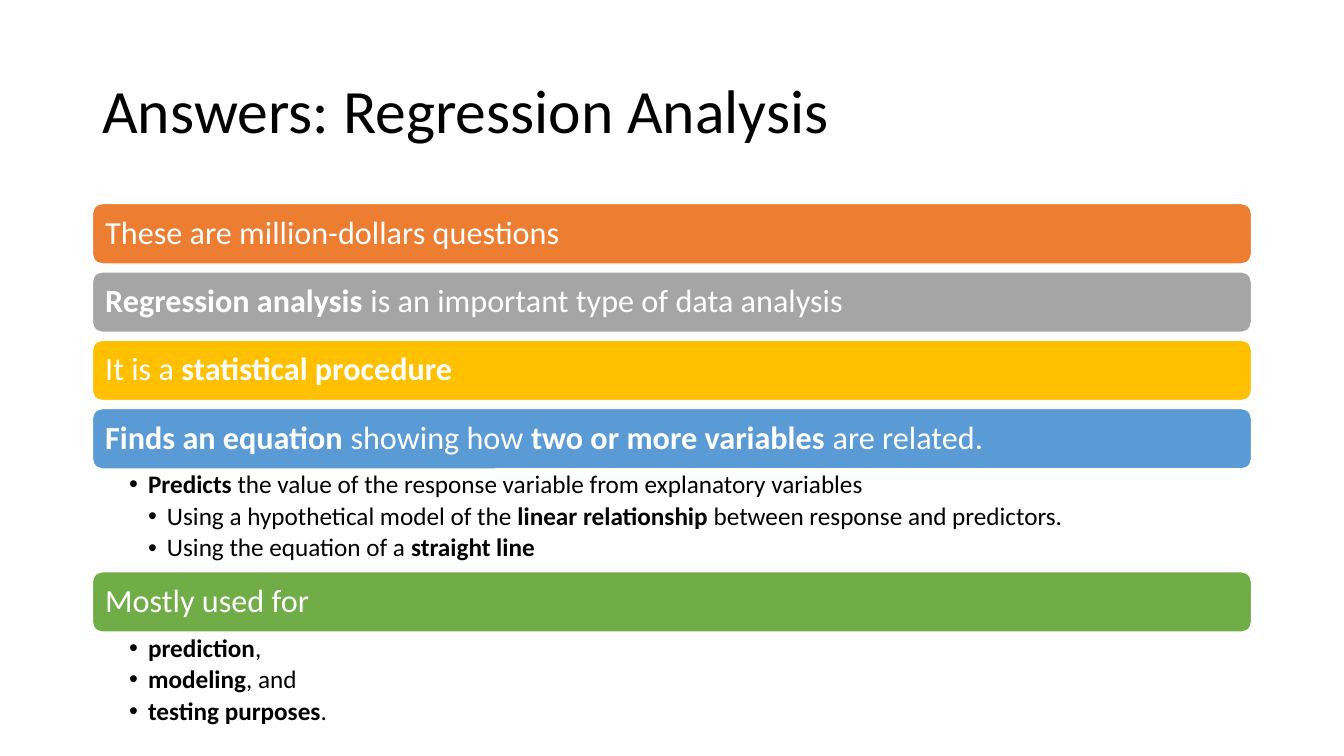
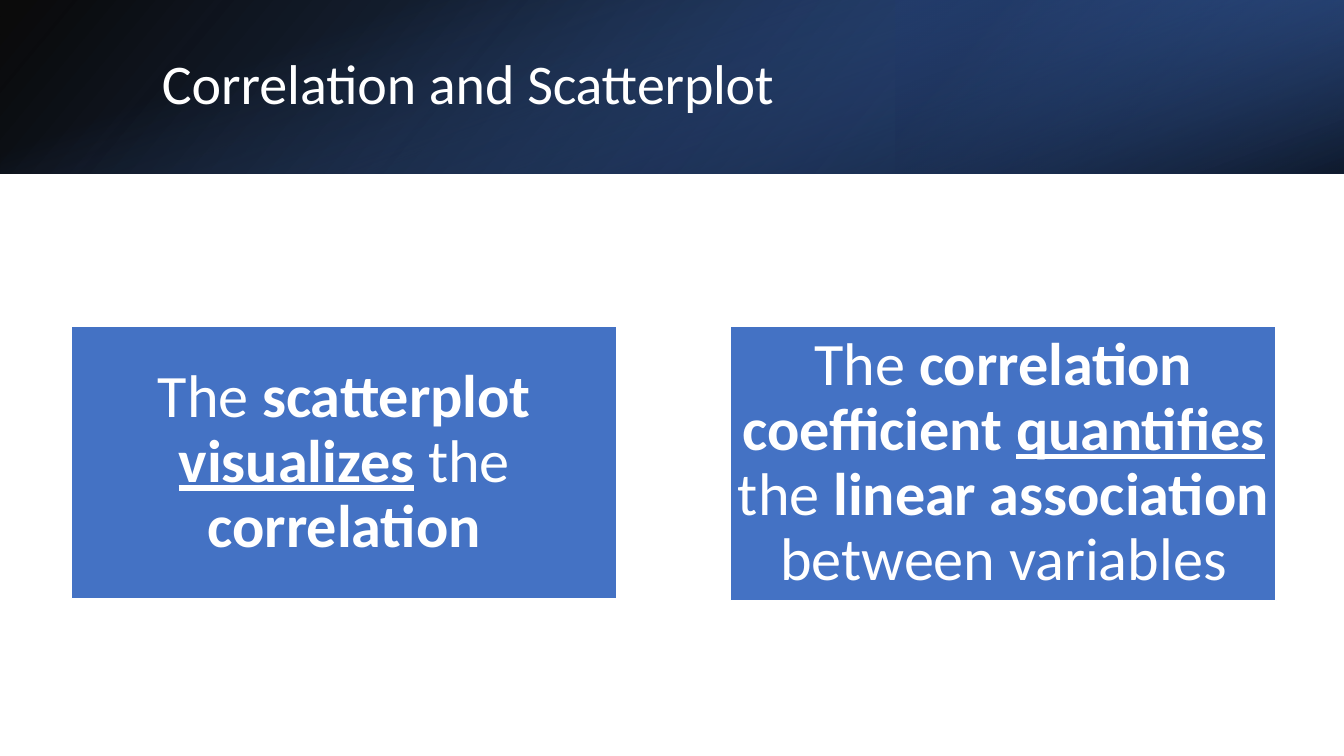
"""Build two slides on regression analysis and correlation."""
from dataclasses import dataclass
from typing import Any, NamedTuple

from pptx import Presentation
from pptx import util as u
from pptx.dml.color import RGBColor
from pptx.enum import shapes, text
from pptx.oxml import parse_xml
from pptx.oxml.ns import nsdecls

FONT = "Calibri"
WHITE, BLACK, BLUE = "FFFFFF", "000000", "4472C4"
SLIDE_W, SLIDE_H, BANNER_H = 960, 540, 124
BAR_X, BAR_W, BAR_H, BAR_GAP, BULLETS_H = 66, 828, 43.2, 5.6, 73.4
BULLET_INDENT = 13.5


class Box(NamedTuple):
    """Left, top, width and height in points."""
    x: float
    y: float
    w: float
    h: float


class Run(NamedTuple):
    """A piece of text with its emphasis."""
    text: str
    bold: bool = False
    underline: bool = False
    spacing: int = 0


@dataclass
class Para:
    """A paragraph; level 0 has no bullet."""
    runs: list[Run]
    level: int = 0


@dataclass
class Bar:
    """A coloured heading bar with the bullets under it."""
    color: str
    runs: list[Run]
    bullets: list[Para]


class Stop(NamedTuple):
    """A gradient stop, position and opacity in percent."""
    pos: int
    color: str
    alpha: int


@dataclass
class Overlay:
    """A gradient layer of the banner."""
    box: Box
    angle: int
    stops: list[Stop]
    rotation: int = 0
    flip: bool = False


BARS = [
    Bar("ED7D31", [Run("These are million-dollars questions")], []),
    Bar("A5A5A5", [Run("Regression analysis", True),
                   Run(" is an important type of data analysis")], []),
    Bar("FFC000", [Run("It is a "), Run("statistical procedure", True)], []),
    Bar("5B9BD5", [Run("Finds an equation", True), Run(" showing how "),
                   Run("two or more variables ", True), Run("are related.")], [
        Para([Run("Predicts", True),
              Run(" the value of the response variable from explanatory variables")], 1),
        Para([Run("Using a hypothetical model of the "), Run("linear relationship", True),
              Run(" between response and predictors.")], 2),
        Para([Run("Using the equation of a "), Run("straight line", True)], 2),
    ]),
    Bar("70AD47", [Run("Mostly used for")], [
        Para([Run("prediction", True), Run(",")], 1),
        Para([Run("modeling", True), Run(", and")], 1),
        Para([Run("testing purposes", True), Run(".")], 1),
    ]),
]

OVERLAYS = [
    Overlay(Box(0, 0, SLIDE_W, BANNER_H), 140,
            [Stop(0, BLACK, 96), Stop(100, "2F5597", 100)], flip=True),
    Overlay(Box(640, 0, 320, BANNER_H), 320,
            [Stop(19, "203864", 68), Stop(100, BLUE, 79)], 180, True),
    Overlay(Box((SLIDE_W - BANNER_H) / 2, (BANNER_H - SLIDE_W) / 2, BANNER_H, SLIDE_W), 340,
            [Stop(23, BLUE, 0), Stop(99, BLACK, 74)], 90),
]

CARDS = [
    (Box(51.1, 233.3, 389.5, 194.4),
     [Run("The "), Run("scatterplot ", True), Run("visualizes", True, True),
      Run(" the "), Run("correlation", True)]),
    (Box(522, 233.3, 389.5, 195.8),
     [Run("The "), Run("correlation coefficient ", True), Run("quantifies", True, True),
      Run(" the "), Run("linear association", True), Run(" between variables")]),
]


def rgb(color: str) -> RGBColor:
    """Turn a hex string into a colour."""
    return RGBColor.from_string(color)


def set_all(target: Any, values: dict[str, Any]) -> None:
    """Set every attribute named in a dict."""
    for name, value in values.items():
        setattr(target, name, value)


def points(box: Box) -> list[u.Length]:
    """Convert a box to lengths."""
    return [u.Pt(value) for value in box]


def add_bullet(p: Any, level: int) -> None:
    """Give a paragraph a hanging round bullet."""
    pPr = p._p.get_or_add_pPr()
    pPr.set("marL", str(u.Pt(BULLET_INDENT * level)))
    pPr.set("indent", str(-u.Pt(BULLET_INDENT)))
    pPr.append(parse_xml(f'<a:buFont {nsdecls("a")} typeface="Arial"/>'))
    pPr.append(parse_xml(f'<a:buChar {nsdecls("a")} char="•"/>'))


def write(sp: Any, paras: list[Para], size: float, color: str,
          insets: tuple[float, float, float, float] = (7.2, 3.6, 7.2, 3.6),
          anchor: Any = text.MSO_ANCHOR.MIDDLE, align: Any = text.PP_ALIGN.LEFT) -> None:
    """Fill a shape with formatted paragraphs."""
    tf = sp.text_frame
    left, top, right, bottom = (u.Pt(value) for value in insets)
    set_all(tf, {"word_wrap": True, "vertical_anchor": anchor, "margin_left": left,
                 "margin_top": top, "margin_right": right, "margin_bottom": bottom})
    for i, para in enumerate(paras):
        p = tf.add_paragraph() if i else tf.paragraphs[0]
        if para.level:
            add_bullet(p, para.level)
            set_all(p, {"level": para.level, "space_after": u.Pt(3.1)})
        set_all(p, {"alignment": align, "line_spacing": 0.9})
        for run in para.runs:
            r = p.add_run()
            r.text = run.text
            set_all(r.font, {"name": FONT, "size": u.Pt(size),
                             "bold": run.bold, "underline": run.underline})
            r.font.color.rgb = rgb(color)
            if run.spacing:
                r.font._element.set("spc", str(run.spacing))


def add_title(s: Any, box: Box, runs: list[Run], size: float, color: str) -> None:
    """Add the slide title."""
    write(s.shapes.add_textbox(*points(box)), [Para(runs)], size, color)


def add_panel(s: Any, kind: Any, box: Box, color: str) -> Any:
    """Add a filled shape with a thin white outline."""
    sp = s.shapes.add_shape(kind, *points(box))
    sp.shadow.inherit = False
    sp.fill.solid()
    sp.fill.fore_color.rgb = rgb(color)
    sp.line.color.rgb = rgb(WHITE)
    sp.line.width = u.Pt(1)
    return sp


def add_overlay(s: Any, overlay: Overlay) -> None:
    """Add a gradient layer without outline."""
    sp = s.shapes.add_shape(shapes.MSO_SHAPE.RECTANGLE, *points(overlay.box))
    sp.shadow.inherit = False
    sp.line.fill.background()
    sp.rotation = overlay.rotation
    spPr = sp._element.spPr
    if overlay.flip:
        spPr.xfrm.set("flipH", "1")
    stops = "".join(
        f'<a:gs pos="{stop.pos * 1000}"><a:srgbClr val="{stop.color}">'
        f'<a:alpha val="{stop.alpha * 1000}"/></a:srgbClr></a:gs>' for stop in overlay.stops)
    spPr.insert(2, parse_xml(
        f'<a:gradFill {nsdecls("a")} rotWithShape="1"><a:gsLst>{stops}</a:gsLst>'
        f'<a:lin ang="{overlay.angle * 60000}" scaled="0"/></a:gradFill>'))


def build_regression(s: Any) -> None:
    """Draw the stack of heading bars and bullets."""
    add_title(s, Box(66, 28.8, 828, 104.4), [Run("Answers: Regression Analysis")], 44, BLACK)
    y = 145.4
    for bar in BARS:
        sp = add_panel(s, shapes.MSO_SHAPE.ROUNDED_RECTANGLE,
                       Box(BAR_X, y, BAR_W, BAR_H), bar.color)
        write(sp, [Para(bar.runs)], 23, WHITE, (7.2, 3.6, 7.2, 3.6))
        y += BAR_H
        if bar.bullets:
            sp = s.shapes.add_textbox(*points(Box(BAR_X, y, BAR_W, BULLETS_H)))
            write(sp, bar.bullets, 18, BLACK, (26.3, 2.2, 13, 2.2), text.MSO_ANCHOR.TOP)
        y += BULLETS_H if bar.bullets else BAR_GAP


def build_correlation(s: Any) -> None:
    """Draw the gradient banner and the two cards."""
    for overlay in OVERLAYS:
        add_overlay(s, overlay)
    add_title(s, Box(108.5, 27.4, 790, 69),
              [Run("Correlation and "), Run("Scatterplot", spacing=-20)], 40, WHITE)
    for box, runs in CARDS:
        sp = add_panel(s, shapes.MSO_SHAPE.RECTANGLE, box, BLUE)
        write(sp, [Para(runs)], 43, WHITE, (2.2, 2.2, 2.2, 2.2), align=text.PP_ALIGN.CENTER)


def main() -> None:
    """Build and save the presentation."""
    prs = Presentation()
    set_all(prs, {"slide_width": u.Pt(SLIDE_W), "slide_height": u.Pt(SLIDE_H)})
    for build in (build_regression, build_correlation):
        build(prs.slides.add_slide(prs.slide_layouts[6]))
    prs.save("out.pptx")


if __name__ == "__main__":
    main()
